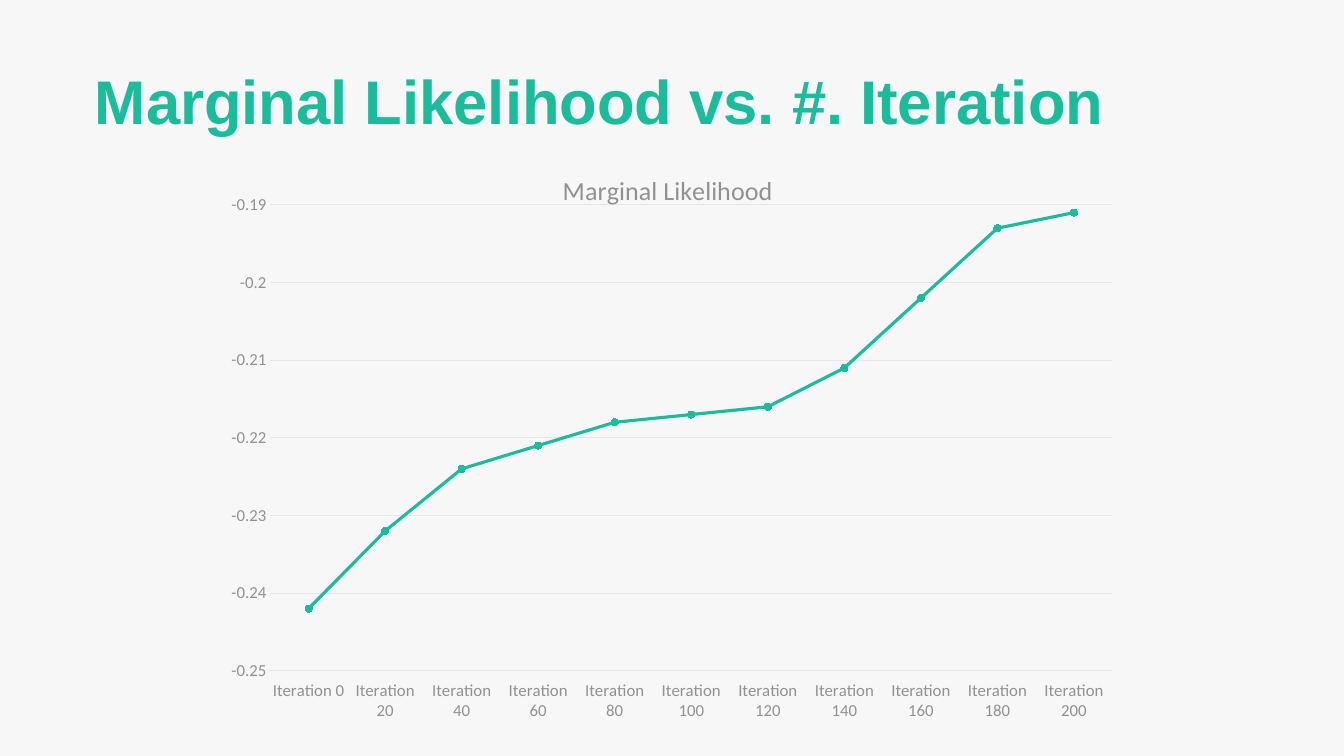
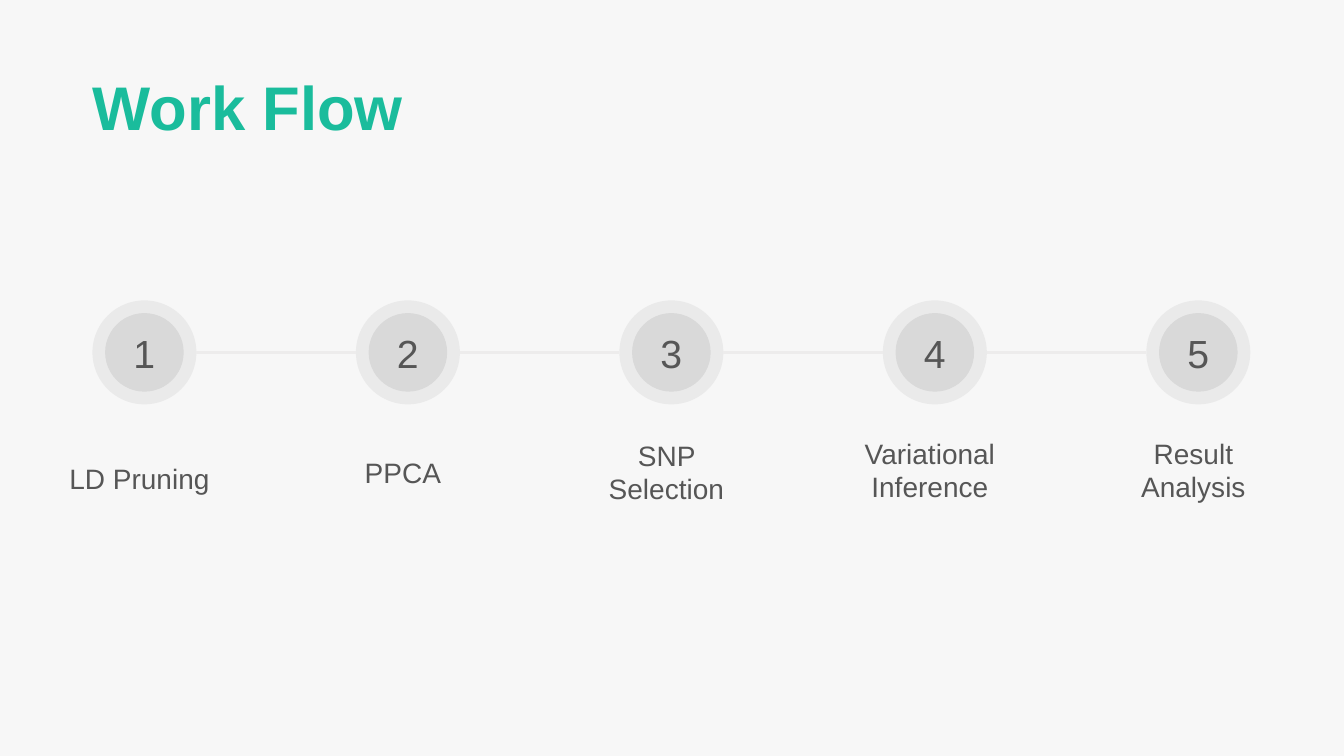
import pptx
import pptx.chart.data
import pptx.dml.color
import pptx.enum.chart
import pptx.enum.shapes
import pptx.enum.text
import pptx.oxml
import pptx.oxml.ns
import pptx.util
from lxml import etree

Cm = pptx.util.Cm
Pt = pptx.util.Pt
ALIGN = pptx.enum.text.PP_ALIGN
OVAL = pptx.enum.shapes.MSO_SHAPE.OVAL

GREEN, INK, GREY = "1ABC9C", "565656", "919191"
PAPER, DISC, GRID, LINK = "F7F7F7", "D9D9D9", "E6E6E6", "EDECEC"

NAME = "Marginal Likelihood"
VALUES = [-0.242, -0.232, -0.224, -0.221, -0.218, -0.217,
          -0.216, -0.211, -0.202, -0.193, -0.191]
PLOT = {"x": 0.069, "y": 0.093, "w": 0.913, "h": 0.789}

STEPS = [("LD Pruning", 11.51), ("PPCA", 11.35), ("SNP Selection", 10.92),
         ("Variational Inference", 10.87), ("Result Analysis", 10.87)]
START, PITCH, MID = 3.64, 6.64, 8.88
OUTER, INNER, LABEL = 2.62, 1.98, 4.3


def color(text):
    return pptx.dml.color.RGBColor.from_string(text)


def style(font, size, tint, face="Arial", bold=False):
    font.size, font.name, font.bold = Pt(size), face, bold
    font.color.rgb = color(tint)


def stroke(line, tint, width):
    line.color.rgb = color(tint)
    line.width = Pt(width)


def add_text(slide, text, left, top, width, height=1.96):
    box = slide.shapes.add_textbox(Cm(left), Cm(top), Cm(width), Cm(height))
    frame = box.text_frame
    frame.word_wrap = True
    frame.margin_left = 0
    para = frame.paragraphs[0]
    para.text = text
    return para


def add_title(slide, text, left, top, width):
    para = add_text(slide, text, left, top, width)
    para.line_spacing = 0.9
    style(para.font, 44, GREEN, bold=True)


def add_disc(group, center, size):
    disc = group.shapes.add_shape(OVAL, Cm(center - size / 2), Cm(MID - size / 2),
                                  Cm(size), Cm(size))
    disc.shadow.inherit = False
    disc.fill.solid()
    disc.fill.fore_color.rgb = color(DISC)
    disc.line.fill.background()
    return disc


def add_step(slide, index, text, top):
    center = START + index * PITCH
    group = slide.shapes.add_group_shape()
    add_disc(group, center, INNER)
    ring = add_disc(group, center, OUTER)
    tint = ring.fill._xPr.find(".//" + pptx.oxml.ns.qn("a:srgbClr"))
    etree.SubElement(tint, pptx.oxml.ns.qn("a:alpha"), val="42000")
    frame = ring.text_frame
    frame.vertical_anchor = pptx.enum.text.MSO_ANCHOR.MIDDLE
    para = frame.paragraphs[0]
    para.text = str(index + 1)
    para.alignment = ALIGN.CENTER
    style(para.font, 28, INK)

    para = add_text(slide, text, center - LABEL / 2, top, LABEL)
    para.alignment = ALIGN.CENTER
    style(para.font, 20, INK)


def add_link(slide, index):
    left = START + index * PITCH + OUTER / 2
    link = slide.shapes.add_connector(
        pptx.enum.shapes.MSO_CONNECTOR.STRAIGHT,
        Cm(left), Cm(MID), Cm(left + PITCH - OUTER), Cm(MID))
    stroke(link.line, LINK, 2.25)
    etree.SubElement(link._element.spPr, pptx.oxml.ns.qn("a:effectLst"))


def place_plot(chart):
    area = chart._chartSpace.chart.plotArea
    for old in area.findall(pptx.oxml.ns.qn("c:layout")):
        area.remove(old)
    parts = '<c:layoutTarget val="inner"/>'
    parts += "".join(f'<c:{key}Mode val="edge"/>' for key in "xy")
    parts += "".join(f'<c:{key} val="{part}"/>' for key, part in PLOT.items())
    area.insert(0, pptx.oxml.parse_xml(
        f'<c:layout {pptx.oxml.ns.nsdecls("c")}>'
        f'<c:manualLayout>{parts}</c:manualLayout></c:layout>'))


def add_chart(slide):
    kinds = pptx.enum.chart
    data = pptx.chart.data.CategoryChartData()
    data.categories = [f"Iteration {20 * i}" for i in range(len(VALUES))]
    data.add_series(NAME, VALUES)
    chart = slide.shapes.add_chart(
        kinds.XL_CHART_TYPE.LINE_MARKERS,
        Cm(5.21), Cm(3.78), Cm(23.24), Cm(14.88), data).chart
    style(chart.font, 10, INK, "Calibri")
    chart.has_legend = False
    chart.has_title = True
    para = chart.chart_title.text_frame.paragraphs[0]
    para.text = NAME
    style(para.font, 18.6, GREY, "Calibri")
    place_plot(chart)

    cats, vals = chart.category_axis, chart.value_axis
    for axis in (cats, vals):
        axis.major_tick_mark = axis.minor_tick_mark = kinds.XL_TICK_MARK.NONE
        style(axis.tick_labels.font, 12, GREY, "Calibri")
    cats.tick_label_position = kinds.XL_TICK_LABEL_POSITION.LOW
    stroke(cats.format.line, GRID, 0.75)
    vals.minimum_scale, vals.maximum_scale, vals.major_unit = -0.25, -0.19, 0.01
    vals.tick_labels.number_format = "General"
    vals.tick_labels.number_format_is_linked = False
    vals.format.line.fill.background()
    vals.has_major_gridlines = True
    stroke(vals.major_gridlines.format.line, GRID, 0.75)

    plot = chart.plots[0]
    plot.vary_by_categories = False
    curve = plot.series[0]
    curve.smooth = False
    stroke(curve.format.line, GREEN, 2.25)
    mark = curve.marker
    mark.style, mark.size = kinds.XL_MARKER_STYLE.CIRCLE, 5
    mark.format.fill.solid()
    mark.format.fill.fore_color.rgb = color(GREEN)
    stroke(mark.format.line, GREEN, 0.75)


def main():
    deck = pptx.Presentation()
    deck.slide_width, deck.slide_height = Cm(33.87), Cm(19.05)
    back = deck.slide_master.background.fill
    back.solid()
    back.fore_color.rgb = color(PAPER)
    blank = deck.slide_layouts[6]

    slide = deck.slides.add_slide(blank)
    add_title(slide, "Marginal Likelihood vs. #. Iteration", 2.39, 1.68, 27.08)
    add_chart(slide)

    slide = deck.slides.add_slide(blank)
    add_title(slide, "Work Flow", 2.34, 1.83, 12.45)
    for index, (text, top) in enumerate(STEPS):
        add_step(slide, index, text, top)
    for index in range(len(STEPS) - 1):
        add_link(slide, index)

    deck.save("out.pptx")


if __name__ == "__main__":
    main()
